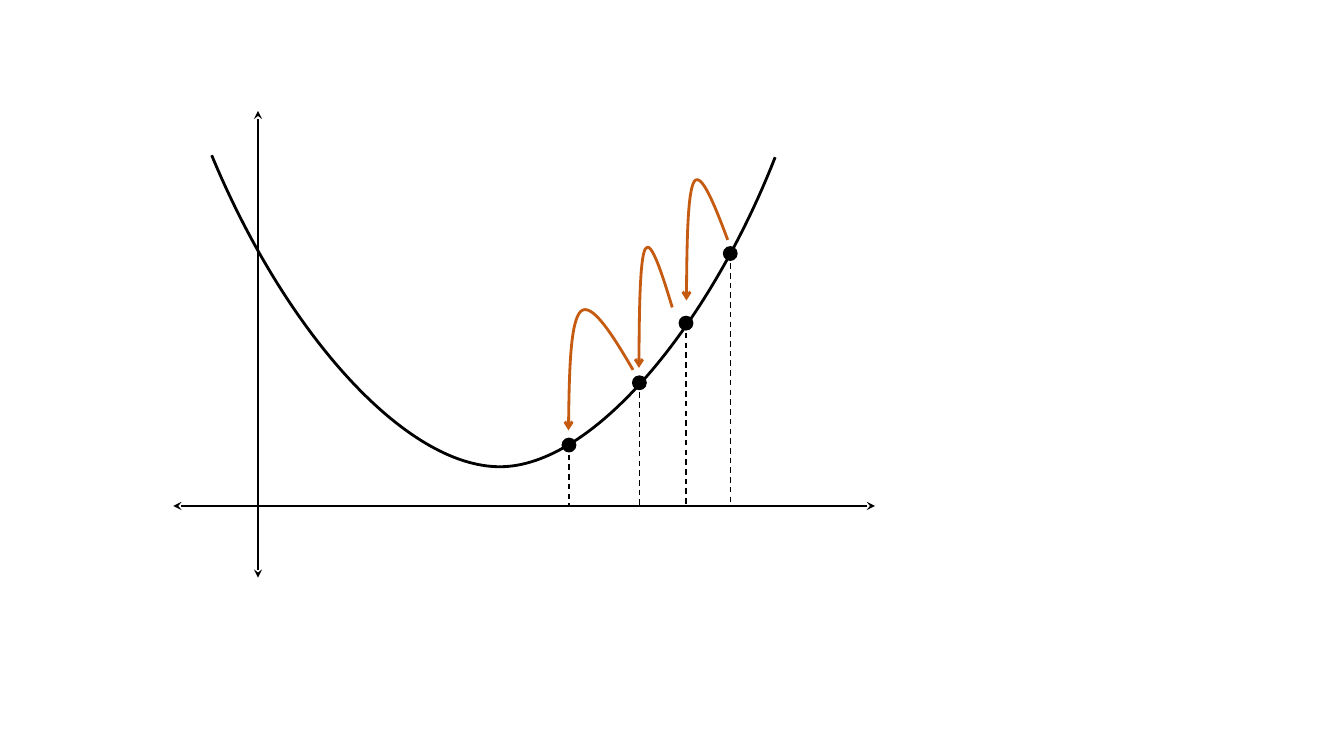
from dataclasses import dataclass

from lxml import etree
from pptx import Presentation
from pptx import util as u
from pptx.dml.color import RGBColor
from pptx.enum import dml, shapes
from pptx.oxml import ns


@dataclass(frozen=True)
class Theme:
    ink: RGBColor = RGBColor(0x00, 0x00, 0x00)
    jump: RGBColor = RGBColor(0xC5, 0x5A, 0x11)
    thin: float = 1
    axis: float = 1.25
    curve: float = 2


THEME = Theme()

# All coordinates are in points.
AXIS_Y = 361.4
DOT_SIZE = 9.6
DOTS = [(521.6, 181.1), (490, 230.8), (456.7, 273.4), (406.4, 317.9)]
PARABOLA = [(151.2, 110.9), (203.8, 237.6), (289.4, 333.4), (357.1, 333.4),
            (424.1, 333.4), (506.9, 231.8), (553.7, 112.3)]

# Start of each jump and the x where it lands.
JUMPS = [(519.8, 171.4, 490.3), (480.2, 219.6, 456.4), (452.2, 264.2, 406.1)]
# Share of the jump's width and offset in height, for each control point.
JUMP_PROFILE = [(0, 0), (0.31, -24.5), (0.64, -49), (0.81, -41.8),
                (0.97, -34.6), (0.99, 4.3), (1, 43.2)]


def style_line(line, color, width):
    line.color.rgb = color
    line.width = u.Pt(width)


def add_arrowhead(line, end, kind):
    """Put an arrowhead on one end: headEnd is the start, tailEnd the finish."""
    etree.SubElement(line._get_or_add_ln(), ns.qn(f"a:{end}"), type=kind)


def add_straight(slide, start, finish, width):
    connector = slide.shapes.add_connector(
        shapes.MSO_CONNECTOR.STRAIGHT, *(u.Pt(v) for v in (*start, *finish)))
    style_line(connector.line, THEME.ink, width)
    etree.SubElement(connector._element.spPr, ns.qn("a:effectLst"))
    return connector


def add_axis(slide, start, finish):
    axis = add_straight(slide, start, finish, THEME.axis)
    for end in ("headEnd", "tailEnd"):
        add_arrowhead(axis.line, end, "stealth")


def add_drop_line(slide, x, y):
    drop = add_straight(slide, (x, y), (x, AXIS_Y), THEME.thin)
    drop.line.dash_style = dml.MSO_LINE.DASH


def add_dot(slide, x, y):
    corner = (u.Pt(x - DOT_SIZE / 2), u.Pt(y - DOT_SIZE / 2))
    dot = slide.shapes.add_shape(
        shapes.MSO_SHAPE.OVAL, *corner, u.Pt(DOT_SIZE), u.Pt(DOT_SIZE))
    dot.shadow.inherit = False
    dot.fill.solid()
    dot.fill.fore_color.rgb = THEME.ink
    style_line(dot.line, THEME.ink, THEME.thin)


def add_curve(slide, points, color):
    """Draw cubic Bezier segments: a start, then three points per segment."""
    start, *controls = [(u.Pt(x), u.Pt(y)) for x, y in points]
    builder = slide.shapes.build_freeform(*start)
    builder.add_line_segments(controls, close=False)
    curve = builder.convert_to_shape()
    curve.shadow.inherit = False
    curve.fill.background()
    style_line(curve.line, color, THEME.curve)

    outline = curve._element.find(".//" + ns.qn("a:path"))
    segments = outline.findall(ns.qn("a:lnTo"))
    for first in range(0, len(segments), 3):
        bezier = etree.SubElement(outline, ns.qn("a:cubicBezTo"))
        for segment in segments[first:first + 3]:
            bezier.append(segment[0])
            outline.remove(segment)
    return curve


def add_jump(slide, x, y, landing_x):
    points = [(x + share * (landing_x - x), y + rise)
              for share, rise in JUMP_PROFILE]
    jump = add_curve(slide, points, THEME.jump)
    add_arrowhead(jump.line, "tailEnd", "arrow")


def main():
    deck = Presentation()
    deck.slide_width, deck.slide_height = u.Pt(960), u.Pt(540)
    slide = deck.slides.add_slide(deck.slide_layouts[6])

    add_axis(slide, (184.3, 412.6), (184.3, 79.2))
    add_curve(slide, PARABOLA, THEME.ink)
    add_axis(slide, (625, AXIS_Y), (123.8, AXIS_Y))
    for dot in DOTS:
        add_dot(slide, *dot)
    for jump in JUMPS:
        add_jump(slide, *jump)
    for dot in DOTS:
        add_drop_line(slide, *dot)

    deck.save("out.pptx")


if __name__ == "__main__":
    main()
